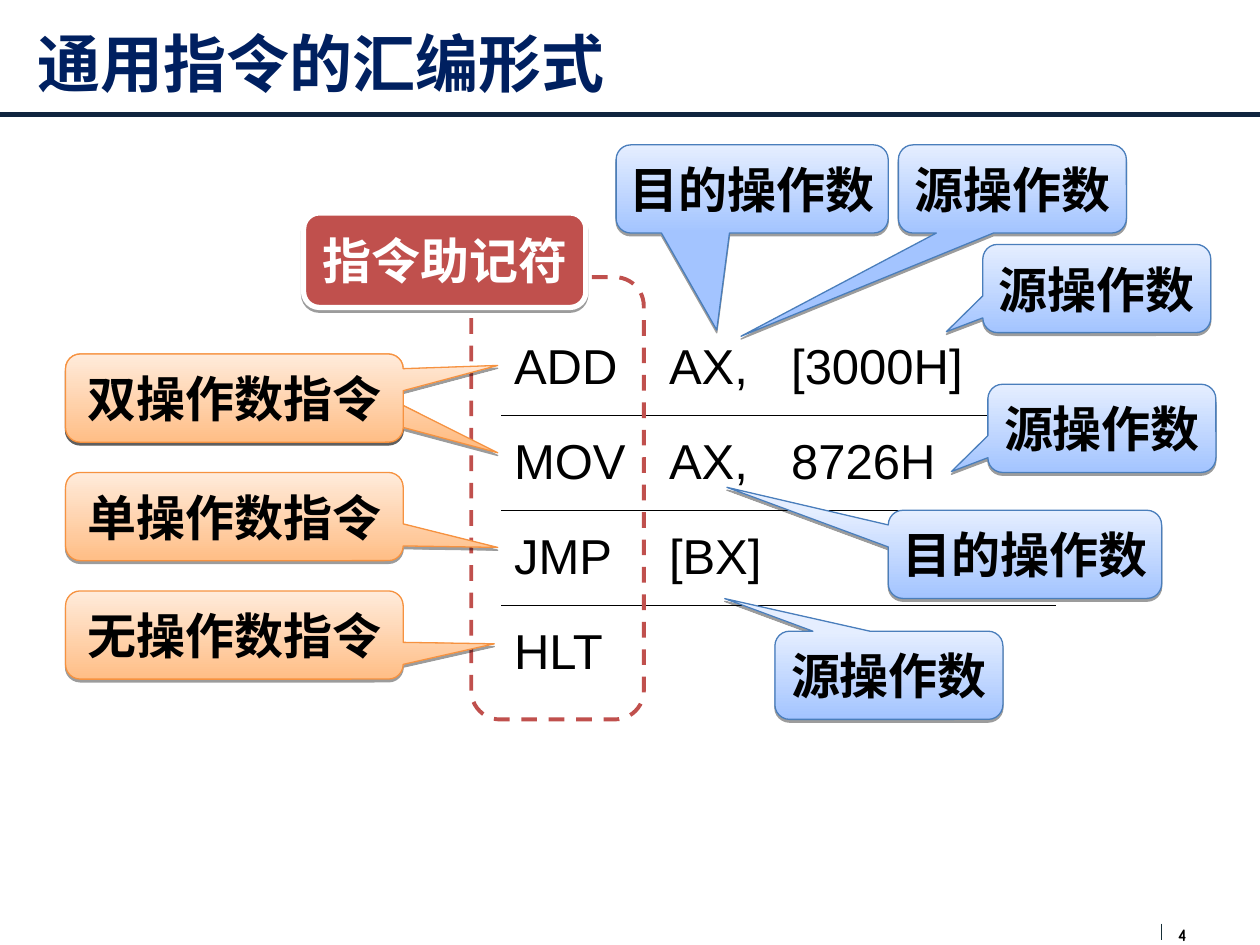
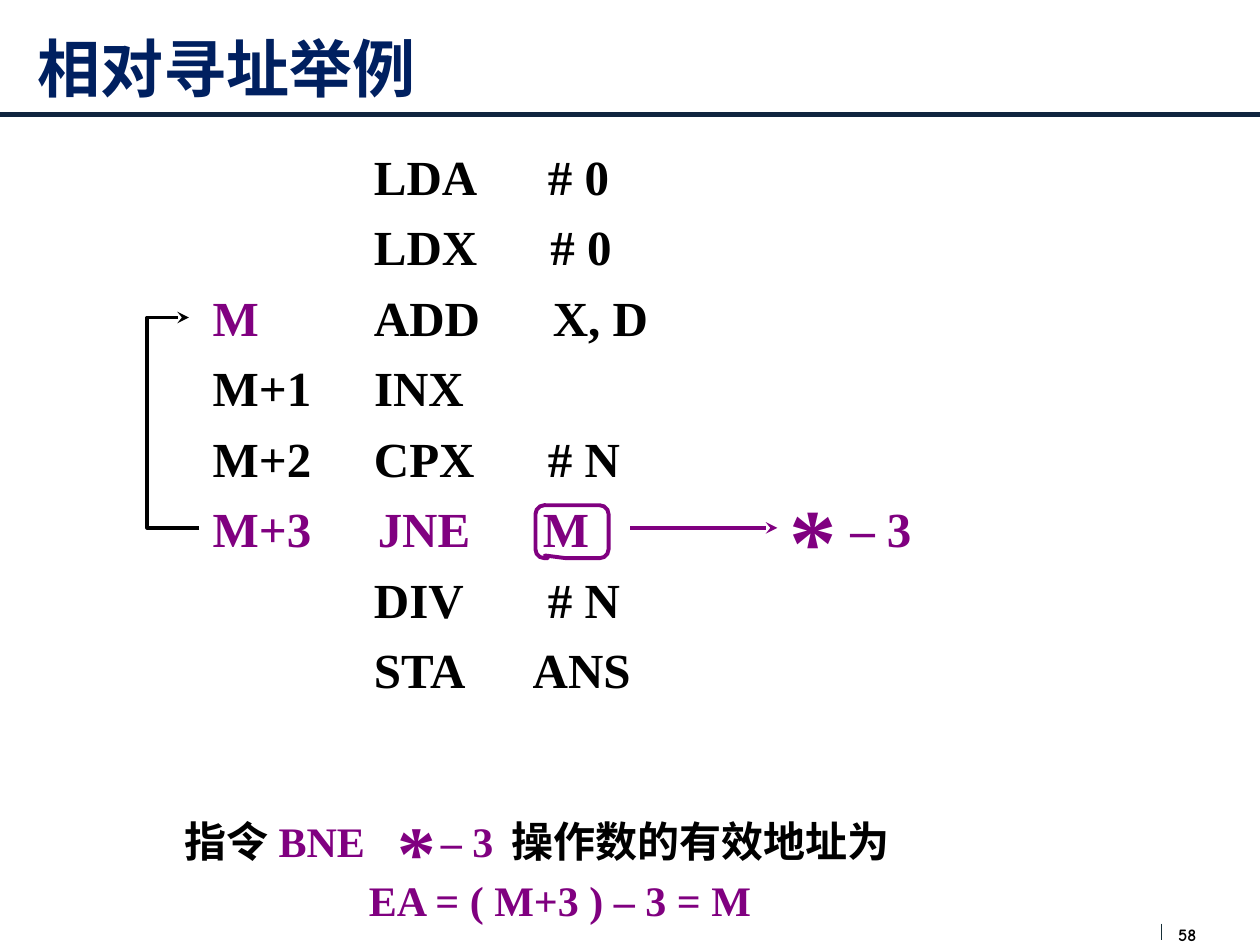
import pptx
import pptx.util
import pptx.oxml
import pptx.oxml.ns
import pptx.dml.color
import pptx.enum.dml
import pptx.enum.shapes
import pptx.enum.text
from dataclasses import dataclass
from lxml import etree

Inches, Pt = pptx.util.Inches, pptx.util.Pt
RGB = pptx.dml.color.RGBColor.from_string
qn = pptx.oxml.ns.qn
Shape = pptx.enum.shapes.MSO_SHAPE
Align = pptx.enum.text.PP_ALIGN
Anchor = pptx.enum.text.MSO_ANCHOR


@dataclass(frozen=True)
class Theme:
    navy: str = "002060"
    rule: str = "10253F"
    footer_rule: str = "172F37"
    black: str = "000000"
    white: str = "FFFFFF"
    red: str = "C0504D"
    purple: str = "800080"
    blue: tuple = ("A3C4FF", "E5EEFF", "4A7EBB")      # bottom, top, outline
    orange: tuple = ("FFBE86", "FFEBDB", "F69240")
    sans: str = "Arial"
    serif: str = "Times New Roman"
    chinese: str = "Noto Sans CJK SC"
    number: str = "Comic Neue"
    title_size: int = 36
    body_size: int = 28
    note_size: int = 24
    number_size: int = 10


theme = Theme()


def write(frame, text, font, size, color, bold=True, align=Align.LEFT, inset=None, tab=None):
    """Fill a text frame with one styled paragraph."""
    frame.word_wrap = True
    if inset is not None:
        frame.margin_left = frame.margin_right = Inches(inset)
        frame.margin_top = frame.margin_bottom = Inches(inset)
    para = frame.paragraphs[0]
    para.text = text
    para.alignment = align
    if tab:
        stops = etree.SubElement(para._p.get_or_add_pPr(), qn("a:tabLst"))
        etree.SubElement(stops, qn("a:tab"), pos=str(Inches(tab)), algn="l")
    para.font.name = font
    para.font.size = Pt(size)
    para.font.bold = bold
    para.font.color.rgb = RGB(color)
    defaults = para._p.pPr.find(qn("a:defRPr"))
    etree.SubElement(defaults, qn("a:ea"), typeface=theme.chinese)
    return para


def draw_line(page, start, end, color, width):
    line = page.shapes.add_connector(
        pptx.enum.shapes.MSO_CONNECTOR.STRAIGHT, *map(Inches, start + end))
    line.line.color.rgb = RGB(color)
    line.line.width = Pt(width)
    etree.SubElement(line.element.spPr, qn("a:effectLst"))
    return line


deck = pptx.Presentation()
deck.slide_width, deck.slide_height = Inches(10), Inches(7.5)

# Shared title, rule and page number
pages = []
for title_text, title_font, title_height, number in (
    ("通用指令的汇编形式", theme.sans, 0.99, "4"),
    ("相对寻址举例", theme.serif, 1.07, "58"),
):
    page = deck.slides.add_slide(deck.slide_layouts[5])
    pages.append(page)
    draw_line(page, (0, 0.91), (10, 0.91), theme.rule, 3)
    draw_line(page, (9.22, 7.33), (9.22, 7.46), theme.footer_rule, 0.75)
    number_box = page.shapes.add_textbox(*map(Inches, (9.35, 7.33, 0.34, 0.17)))
    write(number_box.text_frame, number, theme.number, theme.number_size, theme.black, inset=0)
    title = page.shapes.title
    title.left, title.top, title.width, title.height = map(Inches, (0.2, 0, 9.53, title_height))
    title.text_frame.auto_size = pptx.enum.text.MSO_AUTO_SIZE.NONE
    title.text_frame.vertical_anchor = Anchor.MIDDLE
    write(title.text_frame, title_text, title_font, theme.title_size, theme.navy)
forms_page, example_page = pages

# Instruction table with rules between rows only
instructions = (("ADD", "AX,", "[3000H]"), ("MOV", "AX,", "8726H"), ("JMP", "[BX]", ""), ("HLT", "", ""))
table_frame = forms_page.shapes.add_table(4, 3, *map(Inches, (3.98, 2.54, 4.4, 3.02)))
table = table_frame.table
table.first_row = table.horz_banding = False
table._tbl.tblPr.find(qn("a:tableStyleId")).text = "{2D5ABB26-0587-4C30-8999-92F81FD0307C}"
for column, width in zip(table.columns, (1.23, 0.97, 2.2)):
    column.width = Inches(width)
for row_index, row in enumerate(instructions):
    table.rows[row_index].height = Inches(3.02 / 4)
    for column_index, text in enumerate(row):
        cell = table.cell(row_index, column_index)
        cell.vertical_anchor = Anchor.MIDDLE
        cell.fill.background()
        if text:
            write(cell.text_frame, text, theme.sans, theme.body_size, theme.black, bold=False)
        edges = [edge for edge, inner in (("lnT", row_index > 0), ("lnB", row_index < 3)) if inner]
        for position, edge in enumerate(edges):
            border = etree.Element(qn("a:" + edge), w=str(Pt(0.45)))
            fill = etree.SubElement(border, qn("a:solidFill"))
            etree.SubElement(fill, qn("a:srgbClr"), val=theme.black)
            cell._tc.get_or_add_tcPr().insert(position, border)

# Dashed frame around the mnemonics
mnemonic_frame = forms_page.shapes.add_shape(
    Shape.ROUNDED_RECTANGLE, *map(Inches, (3.74, 2.2, 1.37, 3.51)))
mnemonic_frame.shadow.inherit = False
mnemonic_frame.fill.background()
mnemonic_frame.line.color.rgb = RGB(theme.red)
mnemonic_frame.line.width = Pt(2.25)
mnemonic_frame.line.dash_style = pptx.enum.dml.MSO_LINE.DASH

# Mnemonic label
label = forms_page.shapes.add_shape(
    Shape.ROUNDED_RECTANGLE, *map(Inches, (2.41, 1.69, 2.24, 0.75)))
label.fill.solid()
label.fill.fore_color.rgb = RGB(theme.red)
label.line.color.rgb = RGB(theme.white)
label.line.width = Pt(3)
write(label.text_frame, "指令助记符", theme.chinese, theme.body_size, theme.white, align=Align.CENTER)
raised = [label]

# Callouts: left, top, width, pointer tip relative to the centre, text, colours
source, target = "源操作数", "目的操作数"
callouts = (
    (7.8, 1.94, 1.81, (-0.66, 0.49), source, theme.blue),
    (7.13, 1.15, 1.81, (-1.19, 1.67), source, theme.blue),
    (4.89, 1.15, 2.16, (-0.13, 1.6), target, theme.blue),
    (0.52, 3.75, 2.68, (0.78, 0.35), "单操作数指令", theme.orange),
    (0.52, 4.69, 2.68, (0.77, 0.1), "无操作数指令", theme.orange),
    (0.52, 2.81, 2.68, (0.78, 0.62), "双操作数指令", theme.orange),
    (0.52, 2.81, 2.68, (0.78, -0.37), "双操作数指令", theme.orange),
    (7.84, 3.05, 1.81, (-0.66, 0.49), source, theme.blue),
    (7.05, 4.05, 2.17, (-1.09, -0.76), target, theme.blue),
    (6.15, 5.01, 1.81, (-0.72, -0.87), source, theme.blue),
)
for left, top, width, tip, text, (bottom_color, top_color, outline) in callouts:
    callout = forms_page.shapes.add_shape(
        Shape.ROUNDED_RECTANGULAR_CALLOUT, *map(Inches, (left, top, width, 0.7)))
    callout.adjustments[0], callout.adjustments[1] = tip
    callout.fill.gradient()
    callout.fill.gradient_angle = 90
    for stop, color in zip(callout.fill.gradient_stops, (bottom_color, top_color)):
        stop.color.rgb = RGB(color)
    callout.line.color.rgb = RGB(outline)
    callout.line.width = Pt(0.75)
    write(callout.text_frame, text, theme.sans, theme.body_size, theme.black,
          align=Align.CENTER, inset=0.04)
    raised.append(callout)

# Hard shadow below the label and the callouts
for shape in raised:
    shape.text_frame.vertical_anchor = Anchor.MIDDLE
    shape.shadow.inherit = False
    effects = shape.element.spPr.find(qn("a:effectLst"))
    shadow = etree.SubElement(effects, qn("a:outerShdw"), blurRad="0", dist=str(Pt(1.6)),
                              dir="5400000", rotWithShape="0")
    shadow_color = etree.SubElement(shadow, qn("a:srgbClr"), val=theme.black)
    etree.SubElement(shadow_color, qn("a:alpha"), val="38000")

# Program listing: address, mnemonic, operand, operand's tab stop, colour
program = (
    ("", "LDA", "# 0", 1.38, theme.black),
    ("", "LDX", "# 0", 1.4, theme.black),
    ("M", "ADD", "X, D", 1.42, theme.black),
    ("M+1", "INX", "", None, theme.black),
    ("M+2", "CPX", "# N", 1.38, theme.black),
    ("M+3", "JNE", "M", 1.31, theme.purple),
    ("", "DIV", "# N", 1.38, theme.black),
    ("", "STA", "ANS", 1.26, theme.black),
)
for index, (address, mnemonic, operand, stop, color) in enumerate(program):
    top = 1.11 + 0.56 * index
    left = 2.9 if mnemonic == "JNE" else 2.87
    code_box = example_page.shapes.add_textbox(
        *map(Inches, (left, top, 2.4 if operand else 0.95, 0.57)))
    code = f"{mnemonic}\t{operand}" if operand else mnemonic
    write(code_box.text_frame, code, theme.serif, theme.body_size, color, tab=stop)
    if address:
        address_box = example_page.shapes.add_textbox(*map(Inches, (1.59, top, 1, 0.57)))
        write(address_box.text_frame, address, theme.serif, theme.body_size,
              theme.purple if address == "M" else color)

# Relative operand and effective address
notes = (
    (6.17, 3.77, 0.75, 1, "*", 54, theme.purple),
    (6.65, 3.91, 0.75, 0.57, "– 3", theme.body_size, theme.purple),
    (1.37, 6.42, 1.8, 0.5, "指令 ", theme.note_size, theme.black),
    (3.06, 6.33, 0.75, 0.84, "*", 44, theme.purple),
    (3.4, 6.42, 0.75, 0.5, "– 3", theme.note_size, theme.purple),
    (3.96, 6.42, 3.3, 0.5, "操作数的有效地址为", theme.note_size, theme.black),
    (2.83, 6.89, 3.3, 0.5, "EA = ( M+3 ) – 3 = M", theme.note_size, theme.purple),
)
for left, top, width, height, text, size, color in notes:
    box = example_page.shapes.add_textbox(*map(Inches, (left, top, width, height)))
    para = write(box.text_frame, text, theme.serif, size, color)
    if text == "指令 ":
        span = para.add_run()
        span.text = "BNE"
        span.font.color.rgb = RGB(theme.purple)

# Outline around the jump operand
operand_mark = example_page.shapes.add_shape(
    Shape.ROUNDED_RECTANGULAR_CALLOUT, *map(Inches, (4.25, 4.01, 0.58, 0.42)))
operand_mark.adjustments[0], operand_mark.adjustments[1] = -0.37, 0.45
operand_mark.shadow.inherit = False
operand_mark.fill.background()
operand_mark.line.color.rgb = RGB(theme.purple)
operand_mark.line.width = Pt(2.25)

# Arrows: jump back to M, and operand to its relative form
builder = example_page.shapes.build_freeform(Inches(1.58), Inches(4.19))
builder.add_line_segments(
    [(Inches(x), Inches(y)) for x, y in ((1.17, 4.19), (1.17, 2.52), (1.5, 2.52))], close=False)
jump = builder.convert_to_shape()
jump.shadow.inherit = False
jump.fill.background()
jump.line.color.rgb = RGB(theme.black)
jump.line.width = Pt(2.25)
relation = draw_line(example_page, (5, 4.19), (6.17, 4.19), theme.purple, 2.25)
for arrow in (jump, relation):
    etree.SubElement(arrow.element.spPr.find(qn("a:ln")), qn("a:tailEnd"), type="stealth")

deck.save("out.pptx")
